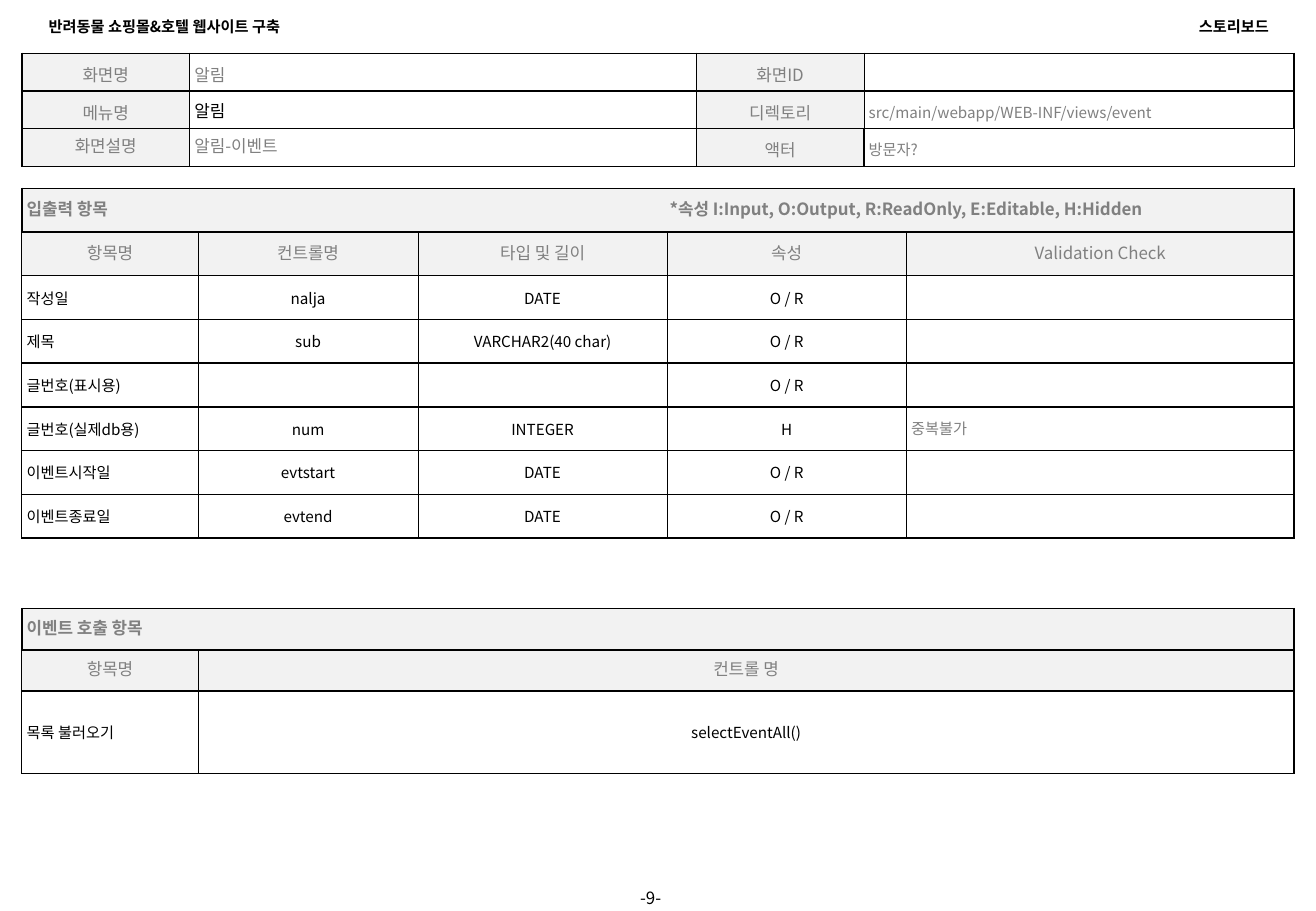
from dataclasses import dataclass
from typing import Optional

from lxml.etree import SubElement
from pptx import Presentation
from pptx.dml.color import RGBColor
from pptx.enum.text import MSO_ANCHOR, MSO_AUTO_SIZE, PP_ALIGN
from pptx.oxml.ns import qn
from pptx.util import Inches, Pt

FONT = "Noto Sans CJK KR"
COLORS = {"black": "000000", "gray": "808080", "header": "F2F2F2"}
MARGIN = 0.04
TABLE_LEFT = 0.18
LEGEND_TAB = 5.29
LEFT, CENTER, RIGHT = PP_ALIGN.LEFT, PP_ALIGN.CENTER, PP_ALIGN.RIGHT


@dataclass(frozen=True)
class TextStyle:
    size: float = 9
    color: str = "black"
    bold: bool = False
    align: PP_ALIGN = LEFT
    line: object = None
    gap: float = 0


@dataclass(frozen=True)
class Borders:
    left: float = 0.5
    top: float = 1
    right: float = 0.5
    bottom: float = 1


@dataclass(frozen=True)
class Cell:
    text: str = ""
    style: TextStyle = TextStyle()
    fill: Optional[str] = None
    borders: Borders = Borders()


@dataclass(frozen=True)
class Grid:
    top: float
    columns: list
    heights: list
    rows: list


HEADER_TEXT = TextStyle(bold=True)
HEADER_RIGHT = TextStyle(bold=True, align=RIGHT)
PAGE_NUMBER = TextStyle(size=10, align=CENTER)
SECTION = TextStyle(10, "gray", True, line=Pt(12))
HEADING = TextStyle(10, "gray", align=CENTER, line=Pt(12))
NOTE = TextStyle(9, "gray", line=Pt(12))
ENTRY = TextStyle()
VALUE = TextStyle(align=CENTER)
LABEL = TextStyle(10, "gray", align=CENTER, line=1.15, gap=3)
INFO = TextStyle(10, "gray", line=1.15, gap=3)
SMALL_INFO = TextStyle(9, "gray", line=1.15, gap=3)
MENU = TextStyle(10)
SUMMARY = TextStyle(10, "gray", line=Pt(12))

BOX = Borders(1, 1, 1, 1)
LAST = Borders(right=1)
BEFORE_LAST = Borders(left=1)

FIELDS = [
    ("작성일", "nalja", "DATE", "O / R", ""),
    ("제목", "sub", "VARCHAR2(40 char)", "O / R", ""),
    ("글번호(표시용)", "", "", "O / R", ""),
    ("글번호(실제db용)", "num", "INTEGER", "H", "중복불가"),
    ("이벤트시작일", "evtstart", "DATE", "O / R", ""),
    ("이벤트종료일", "evtend", "DATE", "O / R", ""),
]
EVENTS = [("목록 불러오기", "selectEventAll()")]


def write_text(frame, text: str, style: TextStyle) -> None:
    paragraph = frame.paragraphs[0]
    paragraph.alignment = style.align
    if style.line:
        paragraph.line_spacing = style.line
    paragraph.space_before = paragraph.space_after = Pt(style.gap)
    if not text:
        SubElement(paragraph._p, qn("a:endParaRPr"), sz=str(int(style.size * 100)))
        return
    run = paragraph.add_run()
    run.text = text
    run.font.size = Pt(style.size)
    run.font.bold = style.bold
    run.font.color.rgb = RGBColor.from_string(COLORS[style.color])
    run.font.name = FONT
    SubElement(run.font._element, qn("a:ea"), typeface=FONT)
    if "\t" in text:
        tabs = SubElement(paragraph._p.get_or_add_pPr(), qn("a:tabLst"))
        SubElement(tabs, qn("a:tab"), pos=str(Inches(LEGEND_TAB)), algn="l")


def place_text(shape, box: tuple, text: str, style: TextStyle) -> None:
    shape.left, shape.top, shape.width, shape.height = map(Inches, box)
    frame = shape.text_frame
    frame.word_wrap = True
    frame.auto_size = MSO_AUTO_SIZE.NONE
    frame.vertical_anchor = MSO_ANCHOR.MIDDLE
    write_text(frame, text, style)


def draw_borders(cell, borders: Borders) -> None:
    properties = cell._tc.get_or_add_tcPr()
    sides = {"L": borders.left, "R": borders.right, "T": borders.top, "B": borders.bottom}
    for side, width in sides.items():
        line = SubElement(properties, qn(f"a:ln{side}"), w=str(Pt(width)))
        fill = SubElement(line, qn("a:solidFill"))
        SubElement(fill, qn("a:srgbClr"), val=COLORS["black"])


def draw_cell(cell, content: Cell) -> None:
    cell.margin_left = cell.margin_right = Inches(MARGIN)
    cell.margin_top = cell.margin_bottom = Inches(MARGIN)
    cell.vertical_anchor = MSO_ANCHOR.MIDDLE
    draw_borders(cell, content.borders)
    if content.fill:
        cell.fill.solid()
        cell.fill.fore_color.rgb = RGBColor.from_string(COLORS[content.fill])
    else:
        cell.fill.background()
    write_text(cell.text_frame, content.text, content.style)


def draw_grid(slide, grid: Grid) -> None:
    table = slide.shapes.add_table(
        len(grid.heights), len(grid.columns), Inches(TABLE_LEFT), Inches(grid.top),
        Inches(sum(grid.columns)), Inches(sum(grid.heights))).table
    table.first_row = table.horz_banding = False
    for column, width in zip(table.columns, grid.columns):
        column.width = Inches(width)
    for row, height in zip(table.rows, grid.heights):
        row.height = Inches(height)
    for row_index, row in enumerate(grid.rows):
        if len(row) == 1:
            table.cell(row_index, 0).merge(table.cell(row_index, len(grid.columns) - 1))
        for column_index, content in enumerate(row):
            draw_cell(table.cell(row_index, column_index), content)


def section_rows(title: str, headings: list, entries: list) -> list:
    last = len(headings) - 1

    def edge(index: int) -> Borders:
        return LAST if index == last else Borders()

    def entry_style(index: int) -> TextStyle:
        return ENTRY if index == 0 else NOTE if index == 4 else VALUE

    return [
        [Cell(title, SECTION, "header", BOX)],
        [Cell(text, HEADING, "header", edge(i)) for i, text in enumerate(headings)],
        *[[Cell(text, entry_style(i), None, edge(i)) for i, text in enumerate(entry)]
          for entry in entries],
    ]


def main() -> None:
    presentation = Presentation()
    presentation.slide_width, presentation.slide_height = Inches(10.83), Inches(7.5)
    slide = presentation.slides.add_slide(presentation.slide_layouts[5])

    place_text(slide.shapes.title, (0.3, 0.09, 2.99, 0.25),
               "반려동물 쇼핑몰&호텔 웹사이트 구축", HEADER_TEXT)
    for box, text, style in [
        ((7.55, 0.09, 2.99, 0.25), "스토리보드", HEADER_RIGHT),
        ((4.96, 7.31, 0.79, 0.16), "-9-", PAGE_NUMBER),
    ]:
        place_text(slide.shapes.add_textbox(0, 0, 0, 0), box, text, style)

    fields = section_rows(
        "입출력 항목\t*속성 I:Input, O:Output, R:ReadOnly, E:Editable, H:Hidden",
        ["항목명", "컨트롤명", "타입 및 길이", "속성", "Validation Check"], FIELDS)
    events = section_rows("이벤트 호출 항목", ["항목명", "컨트롤 명"], EVENTS)
    information = [
        [Cell("화면명", LABEL, "header", BOX), Cell("알림", INFO, None, BOX),
         Cell("화면ID", LABEL, "header", BEFORE_LAST), Cell(borders=LAST)],
        [Cell("메뉴명", LABEL, "header", BOX), Cell("알림", MENU, None, BOX),
         Cell("디렉토리", LABEL, "header", BEFORE_LAST),
         Cell("src/main/webapp/WEB-INF/views/event", SMALL_INFO, None, LAST)],
        [Cell("\u00a0화면설명".strip(), HEADING, "header", BOX),
         Cell("알림-이벤트", SUMMARY, None, BOX),
         Cell("액터", LABEL, "header", BOX),
         Cell("방문자?", SMALL_INFO, None, BEFORE_LAST)],
    ]
    for grid in [
        Grid(1.55, [1.45, 1.81, 2.05, 1.97, 3.19], [0.36] * 8, fields),
        Grid(5.01, [1.45, 9.02], [0.34, 0.34, 0.68], events),
        Grid(0.44, [1.38, 4.17, 1.38, 3.54], [0.27, 0.28, 0.27], information),
    ]:
        draw_grid(slide, grid)
    presentation.save("out.pptx")


if __name__ == "__main__":
    main()
